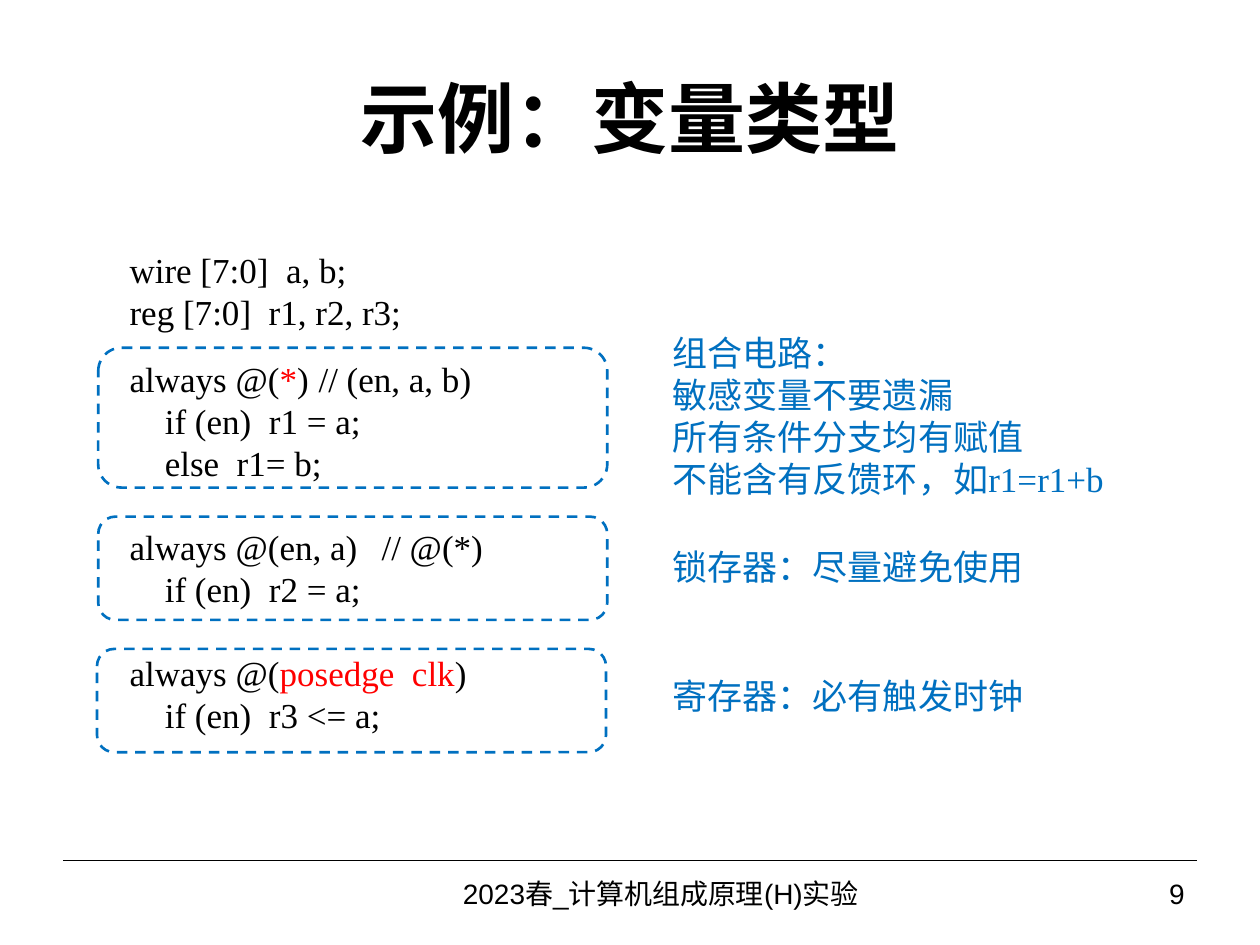
from dataclasses import dataclass

from lxml import etree
from pptx import Presentation
from pptx.dml.color import RGBColor
from pptx.enum.dml import MSO_LINE
from pptx.enum.shapes import MSO_CONNECTOR, MSO_SHAPE
from pptx.enum.text import MSO_ANCHOR, PP_ALIGN
from pptx.oxml.ns import qn
from pptx.util import Inches, Pt

COLORS = {"text": "000000", "note": "0070C0", "key": "FF0000"}
SERIF, SANS = "Times New Roman", "Arial"
LEFT, CENTER, RIGHT = PP_ALIGN.LEFT, PP_ALIGN.CENTER, PP_ALIGN.RIGHT
TOP, MIDDLE = MSO_ANCHOR.TOP, MSO_ANCHOR.MIDDLE
DASH = MSO_LINE.DASH
STRAIGHT = MSO_CONNECTOR.STRAIGHT
ROUNDED = MSO_SHAPE.ROUNDED_RECTANGLE
LINE_PITCH = 24  # points between body lines
CODE_INDENT = Inches(0.28)

Run = tuple[str, str]  # wording, colour name


@dataclass
class Line:
    runs: list[Run]
    before: float = 0
    indented: bool = False


@dataclass
class Style:
    font: str = SERIF
    size: float = 20
    bold: bool = False
    align: PP_ALIGN = LEFT
    anchor: MSO_ANCHOR = TOP
    pitch: float | None = LINE_PITCH


@dataclass
class Box:
    x: float
    y: float
    w: float
    h: float

    def emu(self) -> list[int]:
        return [Inches(v) for v in (self.x, self.y, self.w, self.h)]


def rgb(name: str) -> RGBColor:
    return RGBColor.from_string(COLORS[name])


def code(text: str, before: float = 0, indented: bool = False) -> Line:
    return Line([(text, "text")], before, indented)


def add_text(s, box: Box, lines: list[Line], style: Style) -> None:
    tf = s.shapes.add_textbox(*box.emu()).text_frame
    tf.word_wrap = True
    tf.vertical_anchor = style.anchor
    for i, line in enumerate(lines):
        p = tf.add_paragraph() if i else tf.paragraphs[0]
        p.alignment = style.align
        p.space_before = Pt(line.before)
        if style.pitch:
            p.line_spacing = Pt(style.pitch)
        if line.indented:
            p._p.get_or_add_pPr().set("marL", str(CODE_INDENT))
        for text, color in line.runs:
            r = p.add_run()
            r.text = text
            r.font.name = style.font
            r.font.size = Pt(style.size)
            r.font.bold = style.bold
            r.font.color.rgb = rgb(color)


def add_frame(s, box: Box) -> None:
    sp = s.shapes.add_shape(ROUNDED, *box.emu())
    sp.shadow.inherit = False
    sp.fill.background()
    sp.line.color.rgb = rgb("note")
    sp.line.width = Pt(1.5)
    sp.line.dash_style = DASH


def add_rule(s, x1: float, x2: float, y: float) -> None:
    rule = s.shapes.add_connector(STRAIGHT, Inches(x1), Inches(y), Inches(x2), Inches(y))
    rule.line.color.rgb = rgb("text")
    rule.line.width = Pt(0.75)
    etree.SubElement(rule._element.spPr, qn("a:effectLst"))


CODE = [
    code("wire [7:0]  a, b;"),
    code("reg [7:0]  r1, r2, r3;"),
    # Combinational logic
    Line([("always @(", "text"), ("*", "key"), (")\t// (en, a, b)", "text")], before=14.5),
    code("if (en)  r1 = a;", indented=True),
    code("else  r1= b;", indented=True),
    # Latch
    code("always @(en, a) \t// @(*)", before=LINE_PITCH),
    code("if (en)  r2 = a;", indented=True),
    # Register
    Line([("always @(", "text"), ("posedge  clk", "key"), (")", "text")], before=LINE_PITCH),
    code("if (en)  r3 <= a;", indented=True),
]

NOTES = [
    (Box(5.24, 2.58, 4.02, 1.65),
     ["组合电路：", "敏感变量不要遗漏", "所有条件分支均有赋值", "不能含有反馈环，如r1=r1+b"]),
    (Box(5.24, 4.28, 3.65, 0.52), ["锁存器：尽量避免使用"]),
    (Box(5.24, 5.3, 3.65, 0.52), ["寄存器：必有触发时钟"]),
]

FRAMES = [
    Box(0.78, 2.76, 4.04, 1.11),
    Box(0.78, 4.1, 4.04, 0.82),
    Box(0.77, 5.15, 4.04, 0.82),
]

FOOTERS = [
    (Box(2.83, 6.83, 4.83, 0.52), "2023春_计算机组成原理(H)实验", CENTER),
    (Box(7.67, 6.83, 1.83, 0.52), "9", RIGHT),
]


def main() -> None:
    prs = Presentation()
    prs.slide_width, prs.slide_height = Inches(10), Inches(7.5)
    s = prs.slides.add_slide(prs.slide_layouts[6])

    # Title
    title = Style(SANS, 44, True, CENTER, MIDDLE, None)
    add_text(s, Box(0.5, 0.3, 9, 1.25), [code("示例：变量类型")], title)

    # Code listing with a dashed frame round each block
    add_text(s, Box(0.93, 1.92, 4.21, 4.06), CODE, Style())
    for frame in FRAMES:
        add_frame(s, frame)

    # Notes beside the blocks
    for box, texts in NOTES:
        add_text(s, box, [Line([(text, "note")]) for text in texts], Style())

    # Footer
    add_rule(s, 0.5, 9.5, 6.83)
    for box, text, align in FOOTERS:
        add_text(s, box, [code(text)], Style(SANS, 16, False, align, MIDDLE, None))

    prs.save("out.pptx")


if __name__ == "__main__":
    main()
